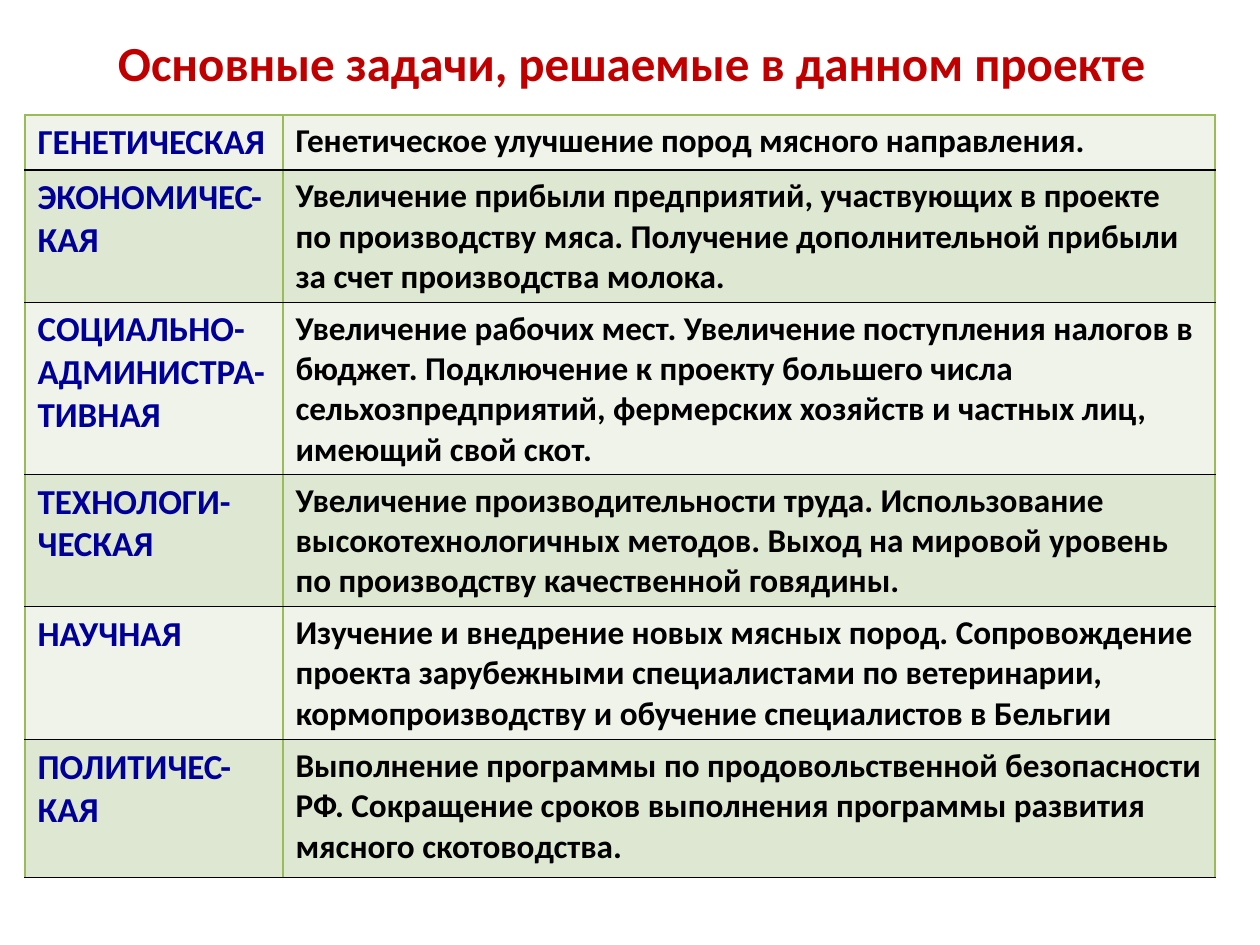
"""Build a slide with a table of the main tasks of a livestock project."""
from lxml import etree
from pptx import Presentation
from pptx.dml.color import RGBColor
from pptx.enum.text import PP_ALIGN
from pptx.oxml.ns import qn
from pptx.util import Emu, Pt

CENTER = PP_ALIGN.CENTER
PX = 914400 // 126
THEME = {
    "font": "Calibri",
    "title": ("C00000", 28),
    "label": ("000099", 20),
    "body": ("000000", 19),
    "bands": ("EFF3EA", "DEE7D1"),
    "side": "9BBB59",
    "rule": "000000",
}

TITLE = "Основные задачи, решаемые в данном проекте"
TASKS = [
    (55, "ГЕНЕТИЧЕСКАЯ", "Генетическое улучшение пород мясного направления."),
    (132, "ЭКОНОМИЧЕС-КАЯ",
     "Увеличение прибыли предприятий, участвующих в проекте по производству мяса. "
     "Получение дополнительной прибыли за счет производства молока."),
    (172, "СОЦИАЛЬНО-АДМИНИСТРА-ТИВНАЯ",
     "Увеличение рабочих мест. Увеличение поступления налогов в бюджет. "
     "Подключение к проекту большего числа сельхозпредприятий, "
     "фермерских хозяйств и частных лиц, имеющий свой скот."),
    (132, "ТЕХНОЛОГИ-ЧЕСКАЯ",
     "Увеличение производительности труда. Использование высокотехнологичных методов. "
     "Выход на мировой уровень по производству качественной говядины."),
    (133, "НАУЧНАЯ",
     "Изучение и внедрение новых мясных пород. Сопровождение проекта зарубежными "
     "специалистами по ветеринарии, кормопроизводству и обучение специалистов в Бельгии"),
    (138, "ПОЛИТИЧЕС-КАЯ",
     "Выполнение программы по продовольственной безопасности РФ. "
     "Сокращение сроков выполнения программы развития мясного скотоводства."),
]
TITLE_BOX = (26, 26, 1211, 72)
TABLE_AT = (25, 115)
COLS = (258, 932)


def px(*nums):
    return [Emu(n * PX) for n in nums]


def write(frame, text, style):
    color, size = THEME[style]
    frame.text = text
    font = frame.paragraphs[0].runs[0].font
    font.name, font.size, font.bold = THEME["font"], Pt(size), True
    font.color.rgb = RGBColor.from_string(color)


def edge(cell, side, color):
    props = cell._tc.get_or_add_tcPr()
    line = etree.SubElement(props, qn(f"a:ln{side}"), w=str(Pt(1)))
    fill = etree.SubElement(line, qn("a:solidFill"))
    etree.SubElement(fill, qn("a:srgbClr"), val=color)


def add_title(slide):
    frame = slide.shapes.add_textbox(*px(*TITLE_BOX)).text_frame
    frame.word_wrap = True
    write(frame, TITLE, "title")
    frame.paragraphs[0].alignment = CENTER


def add_tasks(slide):
    high = sum(task[0] for task in TASKS)
    box = px(*TABLE_AT, sum(COLS), high)
    table = slide.shapes.add_table(len(TASKS), len(COLS), *box).table
    for col, width in zip(table.columns, px(*COLS)):
        col.width = width
    for row, (height, *texts) in enumerate(TASKS):
        table.rows[row].height = px(height)[0]
        top = THEME["rule" if row else "side"]
        for col, (text, style) in enumerate(zip(texts, ("label", "body"))):
            cell = table.cell(row, col)
            write(cell.text_frame, text, style)
            edges = (THEME["side"], THEME["side"], top, THEME["rule"])
            for side, color in zip("LRTB", edges):
                edge(cell, side, color)
            cell.fill.solid()
            cell.fill.fore_color.rgb = RGBColor.from_string(THEME["bands"][row % 2])


def main():
    deck = Presentation()
    deck.slide_width, deck.slide_height = px(1260, 945)
    slide = deck.slides.add_slide(deck.slide_layouts[6])
    add_title(slide)
    add_tasks(slide)
    deck.save("out.pptx")


if __name__ == "__main__":
    main()
